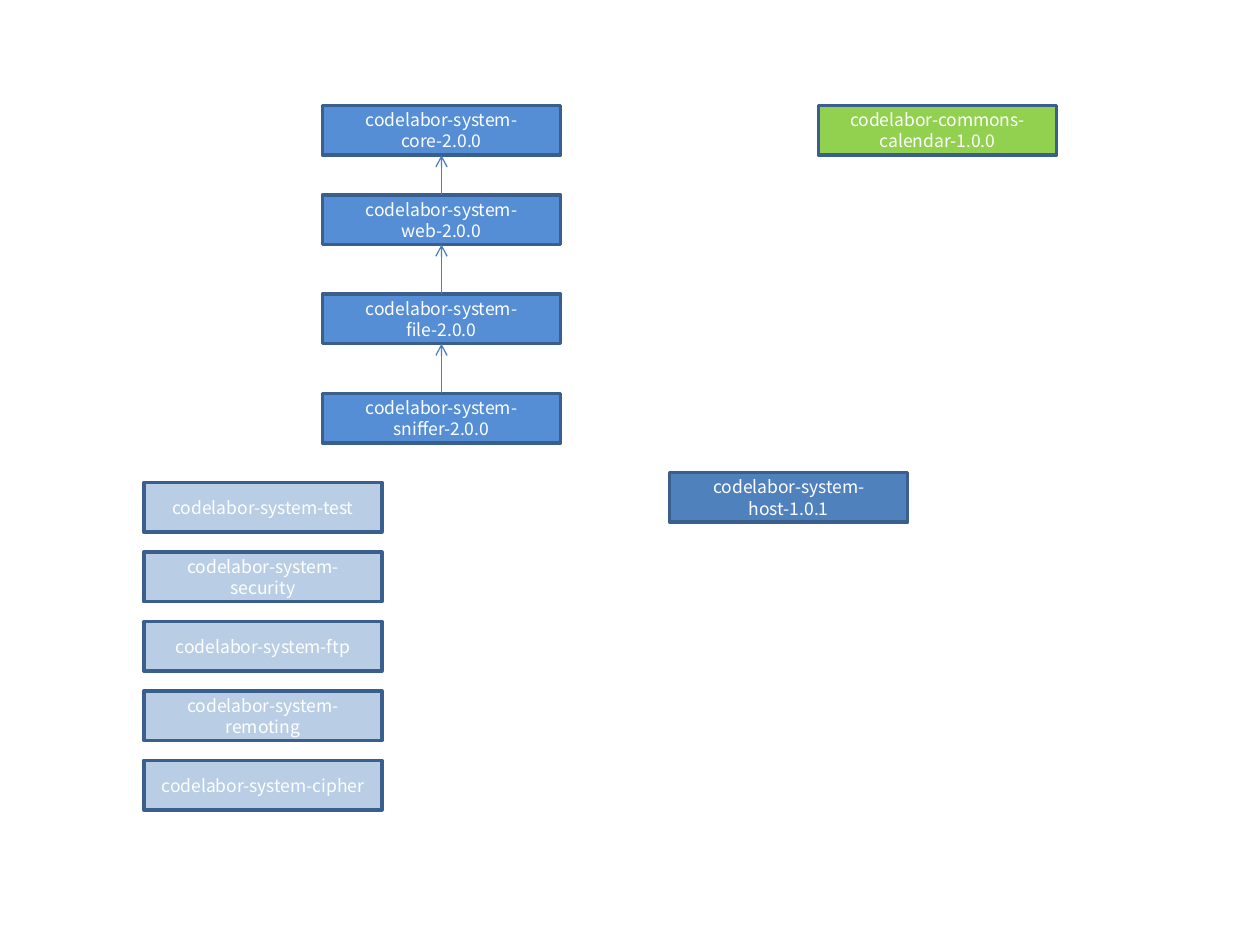
from lxml import etree
from pptx import Presentation
from pptx.dml.color import RGBColor
from pptx.enum.shapes import MSO_CONNECTOR, MSO_SHAPE
from pptx.enum.text import MSO_ANCHOR, PP_ALIGN
from pptx.oxml.ns import qn
from pptx.util import Cm, Pt

RECT = MSO_SHAPE.RECTANGLE
STRAIGHT = MSO_CONNECTOR.STRAIGHT
MIDDLE = MSO_ANCHOR.MIDDLE
CENTER = PP_ALIGN.CENTER
TOP_SITE, BOTTOM_SITE = 0, 2

BLUE = RGBColor(0x55, 0x8E, 0xD5)
PALE = RGBColor(0xB9, 0xCD, 0xE5)
STEEL = RGBColor(0x4F, 0x81, 0xBD)
GREEN = RGBColor(0x92, 0xD0, 0x50)
BORDER = RGBColor(0x3A, 0x5F, 0x8C)
ARROW = RGBColor(0x4B, 0x7E, 0xBC)
WHITE = RGBColor(0xFF, 0xFF, 0xFF)
FONT = "Noto Sans CJK KR"

# Sizes and positions in centimetres
BOX_W, BOX_H = 4.8, 1.0
CHAIN_X = 6.5
CHAIN = [  # each module depends on the one before it
    ("codelabor-system-core-2.0.0", 2.13),
    ("codelabor-system-web-2.0.0", 3.93),
    ("codelabor-system-file-2.0.0", 5.93),
    ("codelabor-system-sniffer-2.0.0", 7.93),
]
PLANNED_X, PLANNED_Y, PLANNED_STEP = 2.9, 9.73, 1.4
PLANNED = [
    "codelabor-system-test",
    "codelabor-system-security",
    "codelabor-system-ftp",
    "codelabor-system-remoting",
    "codelabor-system-cipher",
]
STANDALONE = [
    ("codelabor-system-host-1.0.1", 13.5, 9.53, STEEL),
    ("codelabor-commons-calendar-1.0.0", 16.5, 2.13, GREEN),
]


def add_module(slide, name, x, y, color):
    sp = slide.shapes.add_shape(RECT, Cm(x), Cm(y), Cm(BOX_W), Cm(BOX_H))
    sp.shadow.inherit = False
    sp.fill.solid()
    sp.fill.fore_color.rgb = color
    sp.line.color.rgb = BORDER
    sp.line.width = Pt(2)
    tf = sp.text_frame
    tf.word_wrap = True
    tf.vertical_anchor = MIDDLE
    tf.text = name
    p = tf.paragraphs[0]
    p.alignment = CENTER
    font = p.runs[0].font
    font.name = FONT
    font.size = Pt(10)
    font.color.rgb = WHITE
    return sp


def add_dependency(slide, module, base):
    """Draw an arrow from a module up to the one it depends on."""
    cn = slide.shapes.add_connector(STRAIGHT, 0, 0, 0, 0)
    cn.begin_connect(module, TOP_SITE)
    cn.end_connect(base, BOTTOM_SITE)
    cn.line.color.rgb = ARROW
    cn.line.width = Pt(0.75)
    etree.SubElement(cn.line._get_or_add_ln(), qn("a:tailEnd"), type="arrow")
    etree.SubElement(cn._element.spPr, qn("a:effectLst"))


def main():
    prs = Presentation()
    prs.slide_width, prs.slide_height = Cm(25.4), Cm(19.05)
    slide = prs.slides.add_slide(prs.slide_layouts[6])

    modules = [add_module(slide, name, CHAIN_X, y, BLUE) for name, y in CHAIN]
    for base, module in zip(modules, modules[1:]):
        add_dependency(slide, module, base)
    for i, name in enumerate(PLANNED):
        add_module(slide, name, PLANNED_X, PLANNED_Y + i * PLANNED_STEP, PALE)
    for name, x, y, color in STANDALONE:
        add_module(slide, name, x, y, color)

    prs.save("out.pptx")


if __name__ == "__main__":
    main()
